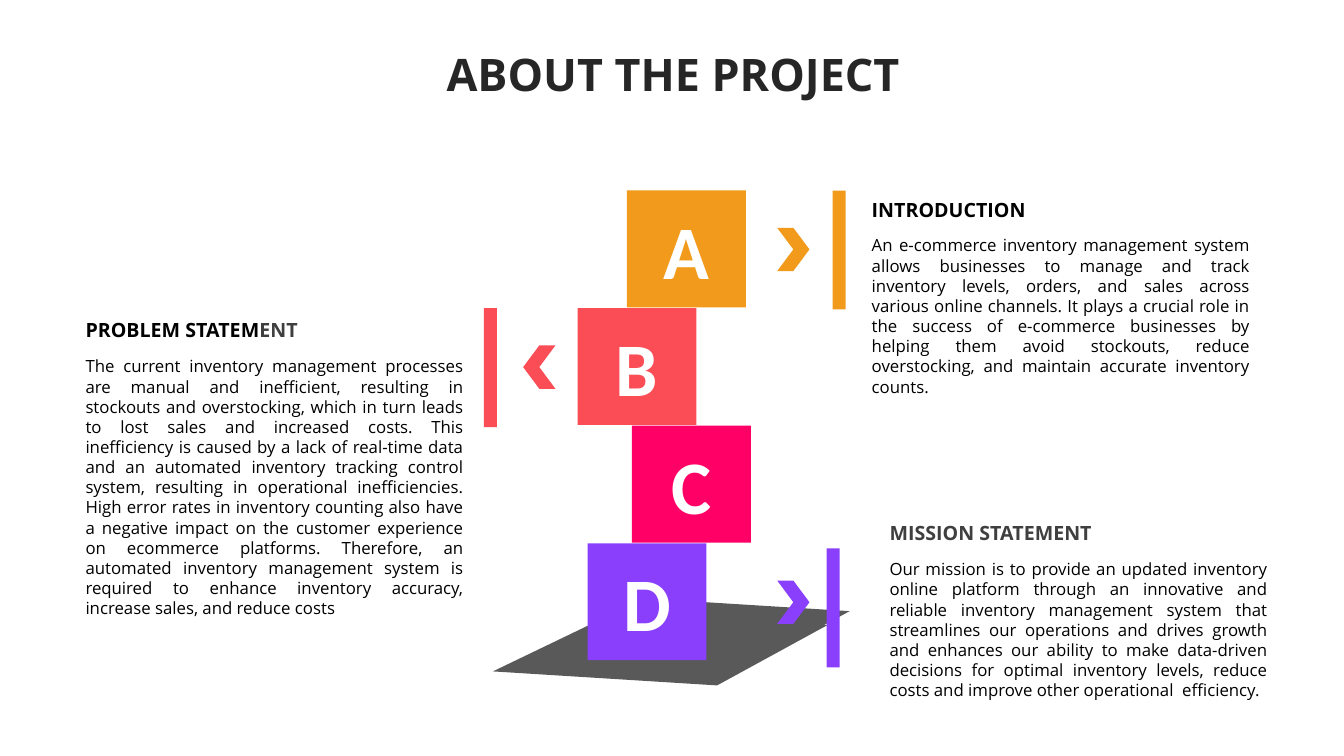
from dataclasses import dataclass

from pptx import Presentation
from pptx.dml.color import RGBColor
from pptx.enum.shapes import MSO_SHAPE
from pptx.enum.text import MSO_ANCHOR, MSO_AUTO_SIZE, PP_ALIGN
from pptx.util import Inches, Pt


@dataclass(frozen=True)
class Theme:
    amber: str = "F19A1B"
    coral: str = "FA4D56"
    pink: str = "FF0066"
    violet: str = "8A3FFC"
    shadow: str = "595959"
    title: str = "262626"
    ink: str = "000000"
    soft_ink: str = "3F3F3F"
    white: str = "FFFFFF"
    text_font: str = "Open Sans"
    letter_font: str = "Calibri"
    title_size: int = 32
    letter_size: int = 54
    heading_size: int = 14
    body_size: int = 12


THEME = Theme()

# Grid of 80 columns by 45 rows; all lengths below are in cells
COLUMNS, ROWS = 80, 45
WIDTH, HEIGHT = Inches(13.33), Inches(7.5)
TOWER_TOP, STEP = 11.34, 7
BLOCK_W, BLOCK_H = 7.08, 6.96

INTRODUCTION = (
    "An e-commerce inventory management system allows businesses to manage and track "
    "inventory levels, orders, and sales across various online channels. It plays a crucial "
    "role in the success of e-commerce businesses by helping them avoid stockouts, reduce "
    "overstocking, and maintain accurate inventory counts.")
PROBLEM = (
    "The current inventory management processes are manual and inefficient, resulting in "
    "stockouts and overstocking, which in turn leads to lost sales and increased costs. This "
    "inefficiency is caused by a lack of real-time data and an automated inventory tracking "
    "control system, resulting in operational inefficiencies. High error rates in inventory "
    "counting also have a negative impact on the customer experience on ecommerce platforms. "
    "Therefore, an automated inventory management system is required to enhance inventory "
    "accuracy, increase sales, and reduce costs")
MISSION = (
    "Our mission is to provide an updated inventory online platform through an innovative and "
    "reliable inventory management system that streamlines our operations and drives growth "
    "and enhances our ability to make data-driven decisions for optimal inventory levels, "
    "reduce costs and improve other operational  efficiency.")


def cols(count):
    return round(WIDTH * count / COLUMNS)


def rows(count):
    return round(HEIGHT * count / ROWS)


def place(box):
    left, top, width, height = box
    return cols(left), rows(top), cols(width), rows(height)


def paint(shape, color):
    shape.shadow.inherit = False
    shape.fill.solid()
    shape.fill.fore_color.rgb = RGBColor.from_string(color)
    shape.line.fill.background()


def write(holder, runs, size, font=THEME.text_font, bold=False, align=PP_ALIGN.LEFT,
          anchor=MSO_ANCHOR.TOP, spacing=None, grow=False):
    """Write one paragraph from (text, color) runs."""
    frame = holder.text_frame
    frame.word_wrap = True
    frame.vertical_anchor = anchor
    if grow:
        frame.auto_size = MSO_AUTO_SIZE.SHAPE_TO_FIT_TEXT
    paragraph = frame.paragraphs[0]
    paragraph.alignment = align
    if spacing:
        paragraph.line_spacing = spacing
    for text, color in runs:
        run = paragraph.add_run()
        run.text = text
        run.font.name, run.font.size, run.font.bold = font, Pt(size), bold
        run.font.color.rgb = RGBColor.from_string(color)


def add_title(slide, box):
    title = slide.shapes.add_textbox(*place(box))
    write(title, [("ABOUT THE PROJECT", THEME.title)], THEME.title_size, bold=True,
          align=PP_ALIGN.CENTER, anchor=MSO_ANCHOR.MIDDLE, spacing=0.9)


def add_floor_shadow(slide, box, corners):
    """Draw a four-cornered floor; corners are shares of the box."""
    left, top, width, height = box
    points = [(cols(left + x * width), rows(top + y * height)) for x, y in corners]
    builder = slide.shapes.build_freeform(*points[0], scale=1.0)
    builder.add_line_segments(points[1:], close=True)
    paint(builder.convert_to_shape(), THEME.shadow)


def add_block(slide, box, letter, color):
    block = slide.shapes.add_shape(MSO_SHAPE.RECTANGLE, *place(box))
    paint(block, color)
    write(block, [(letter, THEME.white)], THEME.letter_size, font=THEME.letter_font,
          bold=True, align=PP_ALIGN.CENTER, anchor=MSO_ANCHOR.MIDDLE)


def add_pointer(slide, row_top, chevron_left, bar_left, bar_drop, color):
    """Add the bar and the chevron that lead from a block to its text."""
    bar = slide.shapes.add_shape(
        MSO_SHAPE.RECTANGLE, *place((bar_left, row_top + bar_drop, 0.78, 7.08)))
    chevron = slide.shapes.add_shape(
        MSO_SHAPE.CHEVRON, *place((chevron_left, row_top + 2.22, 1.92, 2.58)))
    if bar_left < chevron_left:
        chevron.rotation = 180
    for part in (bar, chevron):
        paint(part, color)


def add_statement(slide, box, heading_runs, body):
    left, top, width, height = box
    body_drop = 2.24
    heading = slide.shapes.add_textbox(*place((left, top, width, 2.04)))
    write(heading, heading_runs, THEME.heading_size, bold=True, grow=True)
    passage = slide.shapes.add_textbox(
        *place((left, top + body_drop, width, height - body_drop)))
    write(passage, [(body, THEME.ink)], THEME.body_size, align=PP_ALIGN.JUSTIFY, grow=True)


def main():
    deck = Presentation()
    deck.slide_width, deck.slide_height = WIDTH, HEIGHT
    slide = deck.slides.add_slide(deck.slide_layouts[6])

    add_title(slide, (2.1, 2.22, 75.96, 4.74))

    # Floor under the tower
    corners = [(0.37, 0), (1, 0.18), (0.67, 1), (0, 0.81)]
    add_floor_shadow(slide, (29.34, 36.42, 19.92, 4.38), corners)
    add_floor_shadow(slide, (33.18, 35.7, 17.4, 3.78), corners)

    # Tower of lettered blocks
    tower = [("A", 37.32, THEME.amber), ("B", 34.38, THEME.coral),
             ("C", 37.62, THEME.pink), ("D", 34.98, THEME.violet)]
    for level, (letter, left, color) in enumerate(tower):
        add_block(slide, (left, TOWER_TOP + level * STEP, BLOCK_W, BLOCK_H), letter, color)

    # Statements beside the tower
    add_statement(slide, (51.3, 11.46, 23.7, 12.54),
                  [("INTRODUCTION", THEME.ink)], INTRODUCTION)
    add_statement(slide, (4.5, 18.66, 23.7, 18.6),
                  [("PROBLEM STATEM", THEME.ink), ("ENT", THEME.soft_ink)], PROBLEM)
    add_statement(slide, (52.36, 30.74, 23.7, 11.32),
                  [("MISSION STATEMENT", THEME.soft_ink)], MISSION)

    # Bars and chevrons: level, chevron left, bar left, bar drop, color
    pointers = [(0, 46.26, 49.56, 0, THEME.amber), (1, 31.14, 28.8, 0, THEME.coral),
                (3, 46.26, 49.2, 0.3, THEME.violet)]
    for level, chevron_left, bar_left, bar_drop, color in pointers:
        add_pointer(slide, TOWER_TOP + level * STEP, chevron_left, bar_left, bar_drop, color)

    deck.save("out.pptx")


if __name__ == "__main__":
    main()
